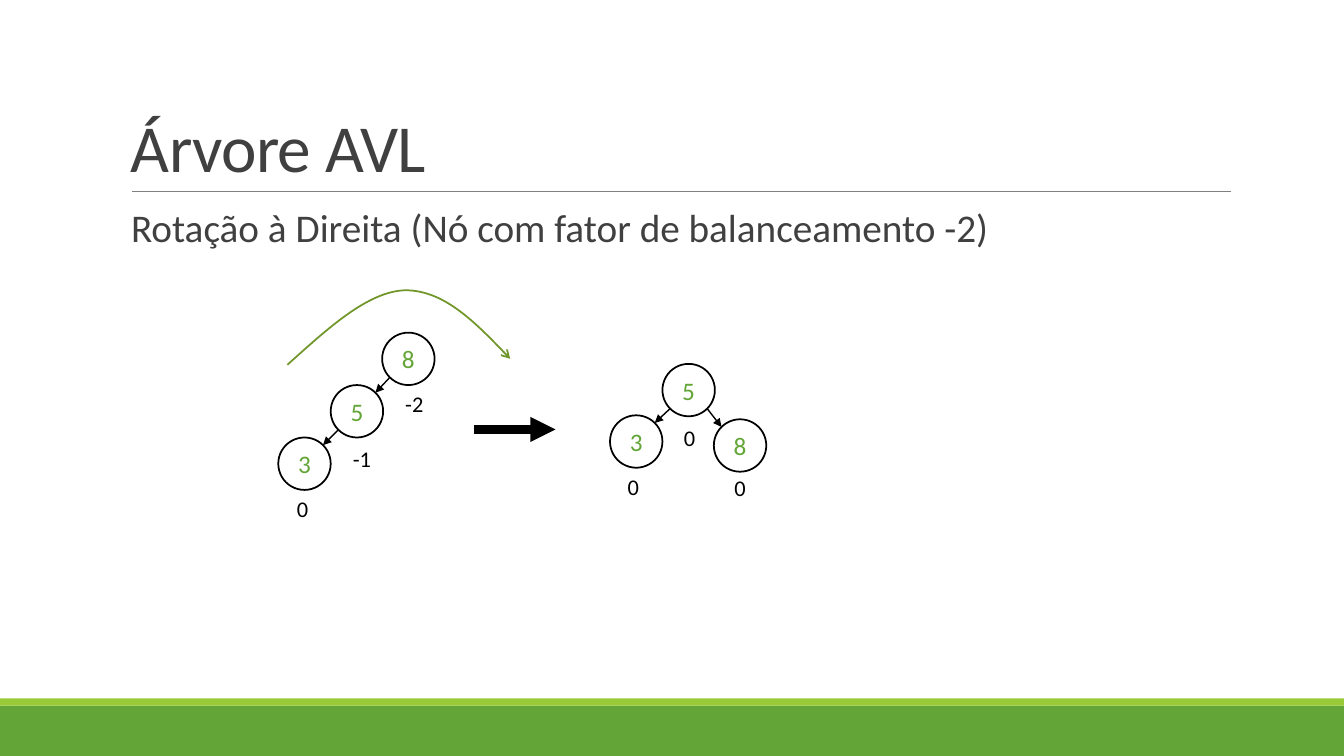
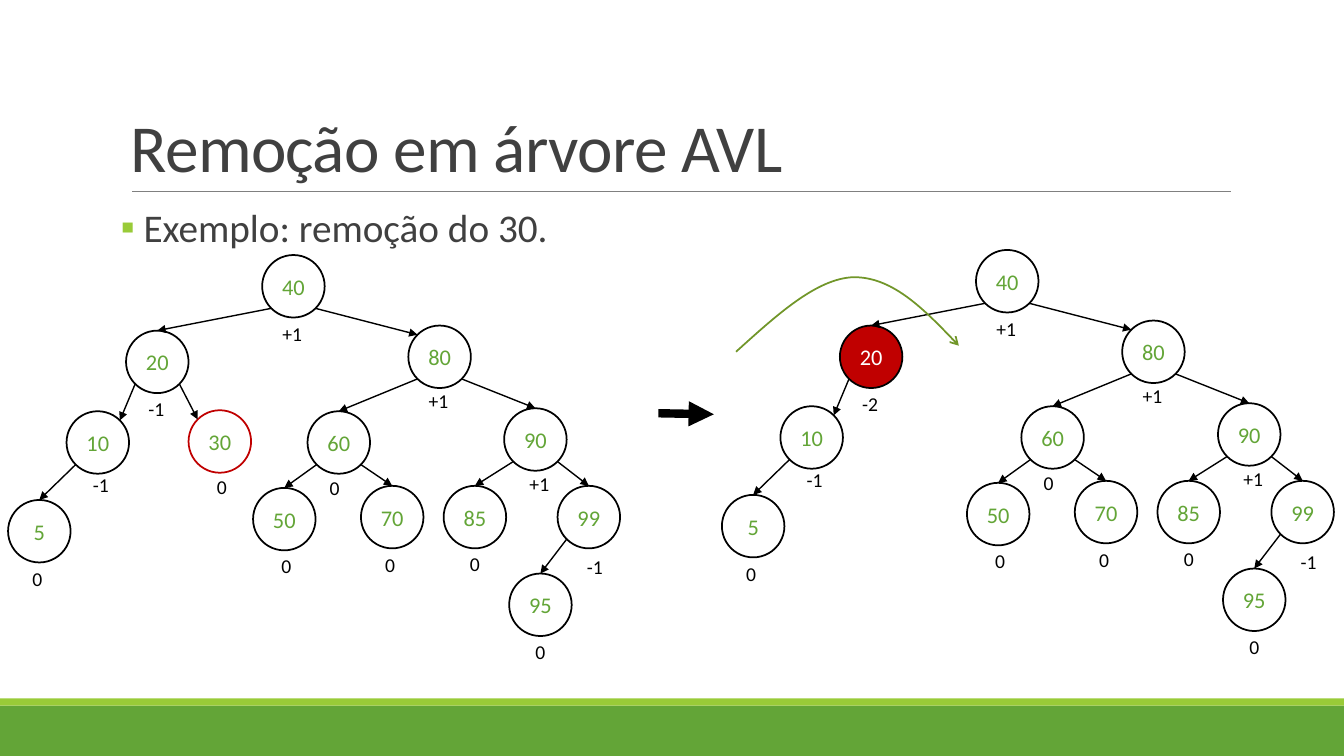
from dataclasses import dataclass, replace
from math import sqrt

from lxml.etree import SubElement
from pptx import Presentation
from pptx.dml.color import RGBColor
from pptx.enum.shapes import MSO_CONNECTOR, MSO_SHAPE
from pptx.enum.text import MSO_ANCHOR, PP_ALIGN
from pptx.oxml.ns import qn
from pptx.util import Inches, Pt

FONT = "Calibri"
GREEN, LIME, OLIVE = "63A537", "99CB38", "719629"
INK, GRAY, BLACK, WHITE, RED = "404040", "808080", "000000", "FFFFFF", "C00000"


@dataclass
class Node:
    """Tree node; x, y is its top left corner, nudge moves its balance label."""
    key: str
    x: float
    y: float
    balance: str
    nudge: tuple = (0, 0)
    parent: str = ""
    corner: bool = False
    line: str = BLACK
    fill: str = ""
    ink: str = GREEN


@dataclass
class TreeStyle:
    diameter: float
    key_size: int
    label_size: int
    label_height: float


SMALL_TREE = TreeStyle(0.52, 18, 16, 0.37)
LARGE_TREE = TreeStyle(0.62, 16, 14, 0.34)

UNBALANCED = [
    Node("8", 3.79, 3.3, "-2", (0.06, 0)),
    Node("5", 3.28, 3.82, "-1", (0.05, 0.03), "8", True),
    Node("3", 2.76, 4.34, "0", (-0.02, 0), "5", True),
]
ROTATED = [
    Node("5", 6.57, 3.61, "0", (0.01, 0.03)),
    Node("3", 6.05, 4.12, "0", (-0.03, 0), "5", True),
    Node("8", 7.08, 4.16, "0", (0, -0.03), "5", True),
]
BEFORE_REMOVAL = [
    Node("40", 2.6, 2.53, "+1", (-0.01, -0.01)),
    Node("20", 1.25, 3.28, "-1", (-0.01, -0.01), "40"),
    Node("80", 4.05, 3.23, "+1", (-0.01, -0.04), "40", True),
    Node("10", 0.66, 4.08, "-1", (0.03, -0.06), "20", True),
    Node("30", 1.87, 4.07, "0", (0.02, -0.03), "20", True, line=RED),
    Node("60", 3.05, 4.08, "0", (-0.04, -0.03), "80"),
    Node("90", 5, 4.05, "+1", (0.04, -0.04), "80"),
    Node("5", 0.08, 4.96, "0", (-0.02, 0), "10"),
    Node("50", 2.51, 4.84, "0", (0.02, -0.01), "60"),
    Node("70", 3.58, 4.82, "0", (-0.02, 0), "60"),
    Node("85", 4.4, 4.82, "0", (0, -0.01), "90"),
    Node("99", 5.53, 4.82, "-1", (0.06, 0.02), "90"),
    Node("95", 5.05, 5.69, "0", (0, -0.01), "99"),
]


def color(value):
    return RGBColor.from_string(value)


def paint(shape, fill="", line="", width=1.25):
    shape.shadow.inherit = False
    if fill:
        shape.fill.solid()
        shape.fill.fore_color.rgb = color(fill)
    else:
        shape.fill.background()
    if line:
        shape.line.color.rgb = color(line)
        shape.line.width = Pt(width)
    else:
        shape.line.fill.background()


def write(shape, text, size, ink, frame_format=None, para_format=None):
    """Put one formatted paragraph in the shape and return it."""
    frame = shape.text_frame
    para = frame.paragraphs[0]
    for target, values in ((frame, frame_format), (para, para_format)):
        for name, value in (values or {}).items():
            setattr(target, name, value)
    span = para.add_run()
    span.text = text
    for name, value in {"name": FONT, "size": Pt(size)}.items():
        setattr(span.font, name, value)
    span.font.color.rgb = color(ink)
    return para


def add_box(page, left, top, width, height):
    return page.shapes.add_textbox(*map(Inches, (left, top, width, height)))


def add_arrowhead(shape, kind):
    outline = shape._element.spPr.find(qn("a:ln"))
    SubElement(outline, qn("a:tailEnd"), type=kind)


def add_line(page, start, end, ink=BLACK, width=1, head="triangle"):
    line = page.shapes.add_connector(
        MSO_CONNECTOR.STRAIGHT, *map(Inches, (*start, *end)))
    line.line.color.rgb = color(ink)
    line.line.width = Pt(width)
    if head:
        add_arrowhead(line, head)
    SubElement(line._element.spPr, qn("a:effectLst"))


def add_rotation_curve(page, left, top):
    """Draw two Bézier arcs that end in an open arrowhead."""
    steps = [(0.4, 0.38), (0.8, 0.01), (1.17, 0),
             (1.54, 0), (1.88, 0.33), (2.21, 0.68)]
    points = [(Inches(left + x), Inches(top + y)) for x, y in steps]
    builder = page.shapes.build_freeform(Inches(left), Inches(top + 0.74))
    builder.add_line_segments(points, close=False)
    curve = builder.convert_to_shape()
    segments = list(curve._element.iter(qn("a:lnTo")))
    outline = segments[0].getparent()
    for first in range(0, len(segments), 3):
        arc = SubElement(outline, qn("a:cubicBezTo"))
        for segment in segments[first:first + 3]:
            arc.append(segment[0])
            outline.remove(segment)
    paint(curve, line=OLIVE)
    add_arrowhead(curve, "arrow")


def add_node(page, node, style):
    size = style.diameter
    circle = page.shapes.add_shape(
        MSO_SHAPE.OVAL, *map(Inches, (node.x, node.y, size, size)))
    paint(circle, node.fill, node.line)
    centred = {"alignment": PP_ALIGN.CENTER}
    write(circle, node.key, style.key_size, node.ink,
          {"word_wrap": False, "vertical_anchor": MSO_ANCHOR.MIDDLE}, centred)
    label_width = 0.4
    label = add_box(page, node.x + (size - label_width) / 2 + node.nudge[0],
                    node.y + size + node.nudge[1], label_width, style.label_height)
    write(label, node.balance, style.label_size, BLACK, {"word_wrap": False}, centred)


def add_edge(page, parent, child, diameter):
    """Join the parent's lower diagonal to the child's top or upper diagonal."""
    radius = diameter / 2
    reach = radius / sqrt(2)
    side = -1 if child.x < parent.x else 1
    start = (parent.x + radius + side * reach, parent.y + radius + reach)
    if child.corner:
        end = (child.x + radius - side * reach, child.y + radius - reach)
    else:
        end = (child.x + radius, child.y)
    add_line(page, start, end)


def add_tree(page, nodes, style):
    by_key = {node.key: node for node in nodes}
    for node in nodes:
        add_node(page, node, style)
        if node.parent:
            add_edge(page, by_key[node.parent], node, style.diameter)


def after_removal(nodes, right, down):
    """Shift the tree, drop 30 and mark 20 as unbalanced."""
    changes = {"20": {"balance": "-2", "fill": RED, "ink": WHITE}}
    return [replace(node, x=node.x + right, y=node.y + down,
                    **changes.get(node.key, {}))
            for node in nodes if node.key != "30"]


def add_page(deck, title, body, bullet):
    """Add a page with the shared bands, rule, title and body line."""
    page = deck.slides.add_slide(deck.slide_layouts[6])
    for top, height, fill in ((7, 0.5, GREEN), (6.93, 0.07, LIME)):
        band = page.shapes.add_shape(
            MSO_SHAPE.RECTANGLE, 0, Inches(top), deck.slide_width, Inches(height))
        paint(band, fill)
    add_line(page, (1.31, 1.9), (12.21, 1.9), GRAY, 0.5, head="")

    para = write(add_box(page, 1.2, 0.31, 11, 1.59), title, 48, INK,
                 {"word_wrap": True, "vertical_anchor": MSO_ANCHOR.BOTTOM},
                 {"line_spacing": 0.85})
    para.runs[0].font._element.set("spc", "-50")

    para = write(add_box(page, 1.2, 2.02, 11, 4.4), body, 28, INK,
                 {"word_wrap": True, "margin_left": 0, "margin_right": 0},
                 {"line_spacing": 0.9, "space_before": Pt(12), "space_after": Pt(2)})
    properties = para._p.get_or_add_pPr()
    properties.set("marL", str(Inches(0.1)))
    properties.set("indent", str(-Inches(0.1)))
    SubElement(SubElement(properties, qn("a:buClr")), qn("a:srgbClr"), val=LIME)
    SubElement(properties, qn("a:buFont"), typeface=FONT)
    SubElement(properties, qn("a:buChar"), char=bullet)
    return page


def add_rotation_page(deck):
    page = add_page(deck, "Árvore AVL",
                    "Rotação à Direita (Nó com fator de balanceamento -2)", " ")
    add_tree(page, UNBALANCED, SMALL_TREE)
    add_tree(page, ROTATED, SMALL_TREE)
    add_line(page, (4.7, 4.26), (5.51, 4.26), width=6)
    add_rotation_curve(page, 2.85, 2.88)


def add_removal_page(deck):
    page = add_page(deck, "Remoção em árvore AVL", " Exemplo: remoção do 30.", "▪")
    add_tree(page, BEFORE_REMOVAL, LARGE_TREE)
    add_tree(page, after_removal(BEFORE_REMOVAL, 7.08, -0.05), LARGE_TREE)
    add_line(page, (6.53, 4.1), (7.08, 4.11), width=6)
    add_rotation_curve(page, 7.3, 2.75)


def main():
    deck = Presentation()
    deck.slide_width, deck.slide_height = Inches(13.33), Inches(7.5)
    add_rotation_page(deck)
    add_removal_page(deck)
    deck.save("out.pptx")


if __name__ == "__main__":
    main()
